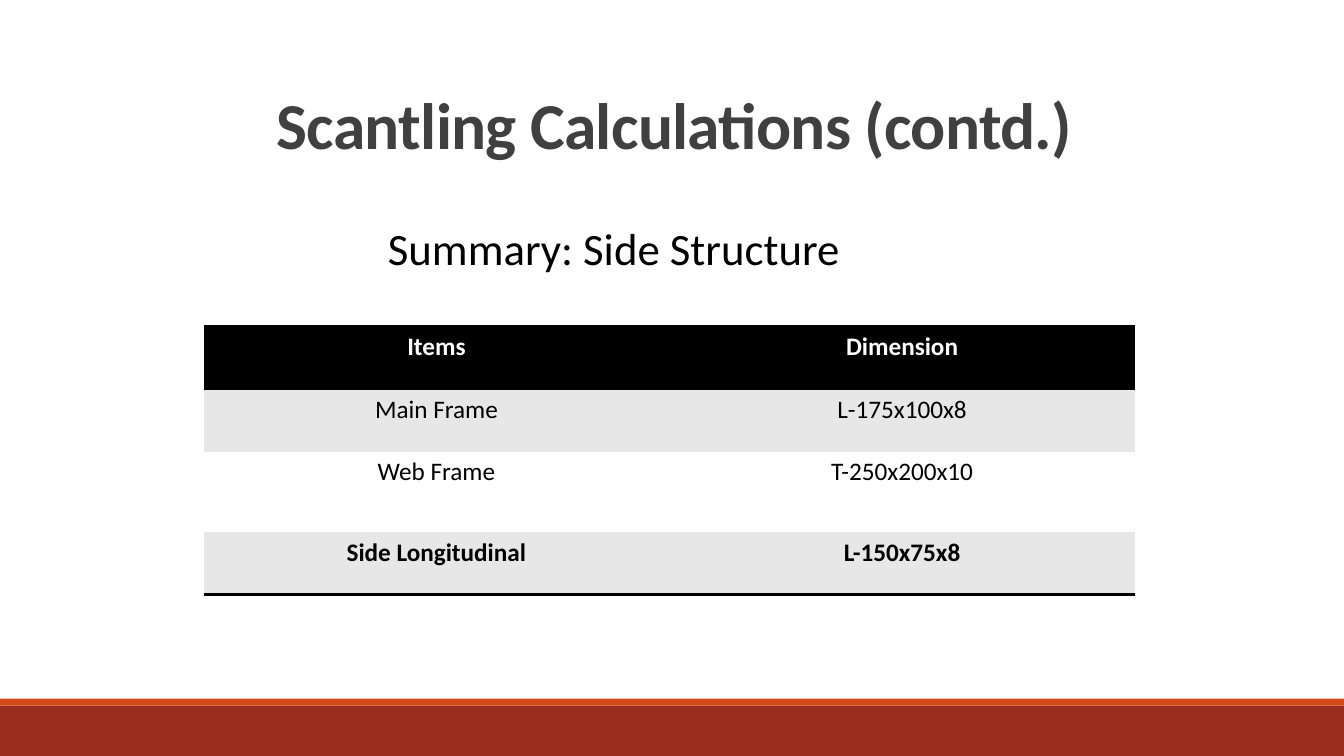
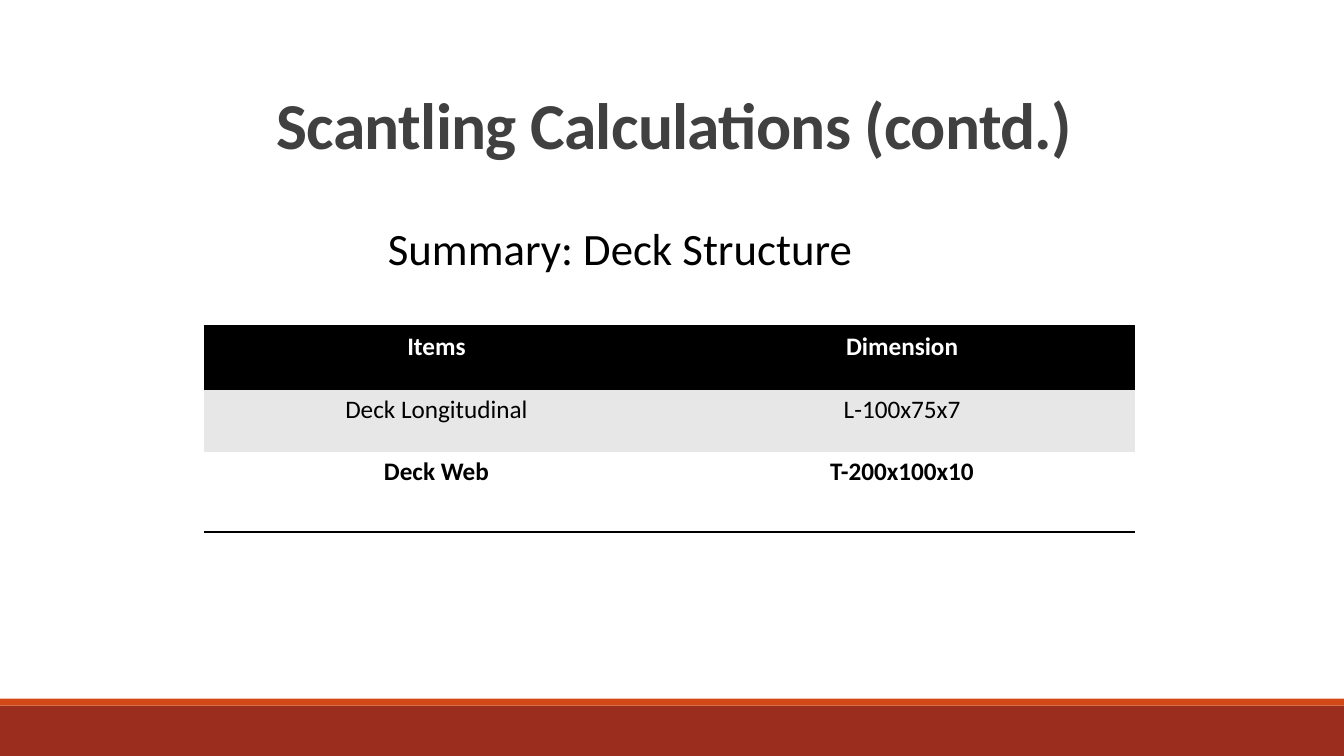
from dataclasses import dataclass

from lxml.etree import SubElement
from pptx import Presentation
from pptx.dml.color import RGBColor
from pptx.enum.shapes import MSO_SHAPE
from pptx.enum.text import MSO_ANCHOR, MSO_AUTO_SIZE, PP_ALIGN
from pptx.oxml.ns import qn
from pptx.slide import Slide
from pptx.table import _Cell
from pptx.text.text import _Paragraph
from pptx.util import Pt


@dataclass(frozen=True)
class Theme:
    font: str = "Calibri"
    title_size: float = 46.8
    subtitle_size: float = 32
    table_size: float = 18
    rule_width: float = 2
    title: str = "404040"
    ink: str = "000000"
    paper: str = "FFFFFF"
    stripe: str = "E7E7E7"
    footer: str = "9B2D1F"
    accent: str = "D34817"


@dataclass(frozen=True)
class Band:
    top: float
    height: float
    color: str


@dataclass(frozen=True)
class Summary:
    structure: str
    subtitle_width: float
    members: tuple[tuple[str, str], ...]


THEME = Theme()
SLIDE_WIDTH, SLIDE_HEIGHT = 960, 540
TITLE = "Scantling Calculations (contd.)"
HEADER = ("Items", "Dimension")
COLUMN_WIDTH = 332.64
ROW_HEIGHTS = (44.64, 44.64, 57.6, 44.64)
BANDS = (Band(504, 36, THEME.footer), Band(499, 5, THEME.accent))
SUMMARIES = (
    Summary("Side", 341.28, (
        ("Main Frame", "L-175x100x8"),
        ("Web Frame", "T-250x200x10"),
        ("Side Longitudinal", "L-150x75x8"),
    )),
    Summary("Deck", 349.92, (
        ("Deck Longitudinal", "L-100x75x7"),
        ("Deck Web", "T-200x100x10"),
    )),
)


def style_text(paragraph: _Paragraph, size: float, color: str, bold: bool = False) -> None:
    for run in paragraph.runs:
        run.font.name = THEME.font
        run.font.size = Pt(size)
        run.font.bold = bold
        run.font.color.rgb = RGBColor.from_string(color)


def add_band(slide: Slide, band: Band) -> None:
    bar = slide.shapes.add_shape(
        MSO_SHAPE.RECTANGLE, 0, Pt(band.top), Pt(SLIDE_WIDTH), Pt(band.height))
    bar.shadow.inherit = False
    bar.fill.solid()
    bar.fill.fore_color.rgb = RGBColor.from_string(band.color)
    bar.line.fill.background()


def add_title(slide: Slide) -> None:
    frame = slide.shapes.add_textbox(Pt(85.68), Pt(64.8), Pt(792), Pt(114.48)).text_frame
    frame.word_wrap = True
    frame.vertical_anchor = MSO_ANCHOR.TOP
    frame.text = TITLE
    heading = frame.paragraphs[0]
    heading.alignment = PP_ALIGN.CENTER
    heading.line_spacing = 0.85
    style_text(heading, THEME.title_size, THEME.title, bold=True)
    # Letter spacing is in hundredths of a point
    heading.runs[0].font._element.set("spc", "-50")


def add_subtitle(slide: Slide, summary: Summary) -> None:
    frame = slide.shapes.add_textbox(
        Pt(270), Pt(134.64), Pt(summary.subtitle_width), Pt(65.52)).text_frame
    frame.word_wrap = False
    frame.auto_size = MSO_AUTO_SIZE.SHAPE_TO_FIT_TEXT
    frame.text = f"Summary: {summary.structure} Structure"
    subtitle = frame.paragraphs[0]
    subtitle.line_spacing = 1.5
    style_text(subtitle, THEME.subtitle_size, THEME.ink)


def set_borders(cell: _Cell, ruled_sides: str) -> None:
    properties = cell._tc.get_or_add_tcPr()
    for side in "LRTB":
        border = SubElement(properties, qn(f"a:ln{side}"))
        if side in ruled_sides:
            border.set("w", str(Pt(THEME.rule_width)))
            fill = SubElement(border, qn("a:solidFill"))
            SubElement(fill, qn("a:srgbClr")).set("val", THEME.ink)
        else:
            border.set("w", "0")
            SubElement(border, qn("a:noFill"))


def add_summary_table(slide: Slide, summary: Summary) -> None:
    rows = (HEADER, *summary.members)
    heights = ROW_HEIGHTS[:len(rows)]
    table = slide.shapes.add_table(
        len(rows), len(HEADER), Pt(145.44), Pt(233.28),
        Pt(COLUMN_WIDTH * len(HEADER)), Pt(sum(heights))).table
    for column in table.columns:
        column.width = Pt(COLUMN_WIDTH)

    for r, (values, height) in enumerate(zip(rows, heights)):
        table.rows[r].height = Pt(height)
        is_header, is_last = r == 0, r == len(rows) - 1
        background = THEME.ink if is_header else THEME.stripe if r % 2 else THEME.paper
        ruled_sides = "TB" if is_header else "B" if is_last else ""
        for c, value in enumerate(values):
            cell = table.cell(r, c)
            set_borders(cell, ruled_sides)
            cell.fill.solid()
            cell.fill.fore_color.rgb = RGBColor.from_string(background)
            cell.text_frame.text = value
            entry = cell.text_frame.paragraphs[0]
            entry.alignment = PP_ALIGN.CENTER
            style_text(entry, THEME.table_size,
                       THEME.paper if is_header else THEME.ink,
                       bold=is_header or is_last)


def main() -> None:
    deck = Presentation()
    deck.slide_width, deck.slide_height = Pt(SLIDE_WIDTH), Pt(SLIDE_HEIGHT)
    blank = deck.slide_layouts[6]
    for summary in SUMMARIES:
        slide = deck.slides.add_slide(blank)
        # Shared frame
        for band in BANDS:
            add_band(slide, band)
        add_title(slide)
        # Structure summary
        add_subtitle(slide, summary)
        add_summary_table(slide, summary)
    deck.save("out.pptx")


if __name__ == "__main__":
    main()
